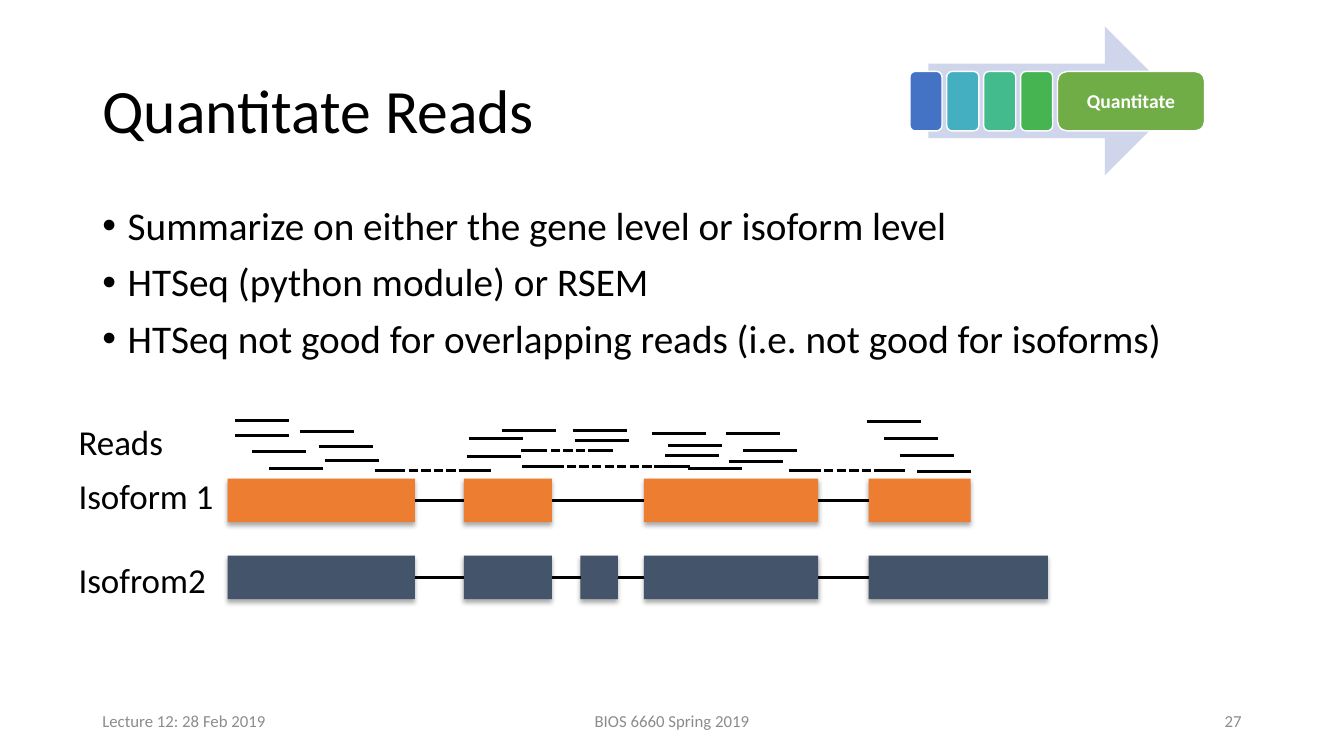
from dataclasses import dataclass
from itertools import pairwise
from typing import NamedTuple

from lxml import etree
from pptx import Presentation
from pptx.dml.color import RGBColor
from pptx.enum.dml import MSO_LINE
from pptx.enum.shapes import MSO_CONNECTOR, MSO_SHAPE
from pptx.enum.text import MSO_ANCHOR, PP_ALIGN
from pptx.oxml.ns import qn
from pptx.shapes.autoshape import Shape
from pptx.slide import Slide
from pptx.util import Cm, Pt

STRAIGHT = MSO_CONNECTOR.STRAIGHT
SYS_DASH = MSO_LINE.SQUARE_DOT
RECTANGLE = MSO_SHAPE.RECTANGLE
ROUNDED = MSO_SHAPE.ROUNDED_RECTANGLE
RIGHT_ARROW = MSO_SHAPE.RIGHT_ARROW
TOP, MIDDLE = MSO_ANCHOR.TOP, MSO_ANCHOR.MIDDLE
LEFT, CENTER, RIGHT = PP_ALIGN.LEFT, PP_ALIGN.CENTER, PP_ALIGN.RIGHT


@dataclass(frozen=True)
class Theme:
    font: str = "Calibri"
    ink: str = "000000"
    paper: str = "FFFFFF"
    muted: str = "8C8C8C"
    arrow: str = "CFD5EA"
    steps: tuple[str, ...] = ("4472C4", "43AFC0", "43BB8D", "45B451")
    current_step: str = "70AD47"
    isoform_1: str = "ED7D31"
    isoform_2: str = "44546A"
    title_size: float = 44
    body_size: float = 28
    label_size: float = 25
    step_size: float = 14
    footer_size: float = 12
    read_width: float = 2.25
    step_outline: float = 1


THEME = Theme()


class Box(NamedTuple):
    left: float
    top: float
    width: float
    height: float


class Caption(NamedTuple):
    text: str
    box: Box
    size: float
    color: str = THEME.ink
    align: PP_ALIGN = LEFT
    anchor: MSO_ANCHOR = MIDDLE
    wrap: bool = True
    line_spacing: float = 1.0


class Exon(NamedTuple):
    left: float
    width: float


class Isoform(NamedTuple):
    top: float
    color: str
    exons: list[Exon]


class Read(NamedTuple):
    left: float
    y: float


class SplicedRead(NamedTuple):
    left: float
    right: float
    y: float
    end_length: float
    gap_left: float
    gap_right: float


BODY = Box(2.33, 5.08, 29.21, 12.09)
BULLETS = [
    "Summarize on either the gene level or isoform level",
    "HTSeq (python module) or RSEM",
    "HTSeq not good for overlapping reads (i.e. not good for isoforms)",
]
CAPTIONS = [
    Caption("Quantitate Reads", Box(2.33, 1.02, 29.21, 3.68), THEME.title_size, line_spacing=0.9),
    Caption("Lecture 12: 28 Feb 2019", Box(2.33, 17.65, 7.62, 1.02), THEME.footer_size, THEME.muted),
    Caption("BIOS 6660 Spring 2019", Box(11.22, 17.65, 11.43, 1.02), THEME.footer_size, THEME.muted, CENTER),
    Caption("27", Box(23.92, 17.65, 7.62, 1.02), THEME.footer_size, THEME.muted, RIGHT),
    Caption("Reads", Box(1.73, 10.46, 2.67, 1.32), THEME.label_size, anchor=TOP, wrap=False),
    Caption("Isoform 1", Box(1.73, 11.82, 3.94, 1.32), THEME.label_size, anchor=TOP, wrap=False),
    Caption("Isofrom2", Box(1.73, 13.94, 3.94, 1.32), THEME.label_size, anchor=TOP, wrap=False),
]

STEP_BOX = Box(22.93, 1.8, 0.81, 1.5)
STEP_PITCH = 0.93
CURRENT_STEP_WIDTH = 3.71

EXON_HEIGHT = 1.1
FIRST, SECOND, FOURTH = Exon(5.74, 4.72), Exon(11.69, 2.22), Exon(16.23, 4.39)
THIRD = Exon(14.63, 0.94)
SHORT_LAST, LONG_LAST = Exon(21.89, 2.57), Exon(21.89, 4.52)
ISOFORMS = [
    Isoform(14.0, THEME.isoform_2, [FIRST, SECOND, THIRD, FOURTH, LONG_LAST]),
    Isoform(12.06, THEME.isoform_1, [FIRST, SECOND, FOURTH, SHORT_LAST]),
]

READ_LENGTH = 1.36
READS = [
    Read(5.92, 10.59), Read(5.92, 10.97), Read(6.35, 11.38), Read(6.78, 11.81),
    Read(7.57, 10.87), Read(8.05, 11.25), Read(8.18, 11.61),
    Read(11.76, 11.51), Read(11.81, 11.05), Read(12.65, 10.85),
    Read(14.43, 10.85), Read(14.48, 11.1),
    Read(16.43, 10.92), Read(16.84, 11.23), Read(16.76, 11.48), Read(17.35, 11.81),
    Read(18.29, 10.92), Read(18.72, 11.35), Read(18.36, 11.63),
    Read(21.84, 10.62), Read(22.28, 11.05), Read(22.68, 11.48), Read(23.11, 11.89),
]
SPLICED_READS = [
    SplicedRead(9.45, 12.37, 11.86, 0.64, 9.98, 11.94),
    SplicedRead(19.89, 22.81, 11.86, 0.64, 20.45, 22.4),
    SplicedRead(13.16, 17.4, 11.76, 0.93, 13.97, 16.79),
    SplicedRead(13.13, 15.44, 11.35, 0.51, 13.56, 15.11),
]


def style_text(shape: Shape, size: float, color: str, bold: bool = False) -> None:
    for paragraph in shape.text_frame.paragraphs:
        for run in paragraph.runs:
            run.font.name = THEME.font
            run.font.size = Pt(size)
            run.font.bold = bold
            run.font.color.rgb = RGBColor.from_string(color)


def add_caption(slide: Slide, caption: Caption) -> None:
    shape = slide.shapes.add_textbox(*map(Cm, caption.box))
    frame = shape.text_frame
    frame.text = caption.text
    frame.word_wrap = caption.wrap
    frame.vertical_anchor = caption.anchor
    frame.paragraphs[0].alignment = caption.align
    frame.paragraphs[0].line_spacing = caption.line_spacing
    style_text(shape, caption.size, caption.color)


def add_bullets(slide: Slide) -> None:
    shape = slide.shapes.add_textbox(*map(Cm, BODY))
    frame = shape.text_frame
    frame.word_wrap = True
    frame.text = "\n".join(BULLETS)
    for index, paragraph in enumerate(frame.paragraphs):
        properties = paragraph._p.get_or_add_pPr()
        properties.set("marL", str(Cm(0.64)))
        properties.set("indent", str(Cm(-0.64)))
        etree.SubElement(properties, qn("a:buFont"), typeface="Arial")
        etree.SubElement(properties, qn("a:buChar"), char="•")
        paragraph.line_spacing = 0.9
        paragraph.space_before = Pt(10 if index else 0)
    style_text(shape, THEME.body_size, THEME.ink)


def add_block(slide: Slide, kind: MSO_SHAPE, box: Box, color: str) -> Shape:
    shape = slide.shapes.add_shape(kind, *map(Cm, box))
    shape.shadow.inherit = False
    shape.fill.solid()
    shape.fill.fore_color.rgb = RGBColor.from_string(color)
    shape.line.fill.background()
    return shape


def add_line(slide: Slide, left: float, right: float, y: float, dashed: bool = False) -> None:
    line = slide.shapes.add_connector(STRAIGHT, Cm(left), Cm(y), Cm(right), Cm(y))
    line.line.color.rgb = RGBColor.from_string(THEME.ink)
    line.line.width = Pt(THEME.read_width)
    if dashed:
        line.line.dash_style = SYS_DASH
    etree.SubElement(line._element.spPr, qn("a:effectLst"))


def add_workflow(slide: Slide) -> None:
    add_block(slide, RIGHT_ARROW, Box(23.4, 0.67, 6.32, 3.75), THEME.arrow)
    for index, color in enumerate((*THEME.steps, THEME.current_step)):
        box = STEP_BOX._replace(left=STEP_BOX.left + index * STEP_PITCH)
        is_current = index == len(THEME.steps)
        if is_current:
            box = box._replace(width=CURRENT_STEP_WIDTH)
        step = add_block(slide, ROUNDED, box, color)
        step.line.color.rgb = RGBColor.from_string(THEME.paper)
        step.line.width = Pt(THEME.step_outline)
        if is_current:
            step.text_frame.text = "Quantitate"
            step.text_frame.vertical_anchor = MIDDLE
            step.text_frame.paragraphs[0].alignment = CENTER
            style_text(step, THEME.step_size, THEME.paper, bold=True)


def add_isoform(slide: Slide, isoform: Isoform) -> None:
    for exon in isoform.exons:
        box = Box(exon.left, isoform.top, exon.width, EXON_HEIGHT)
        block = add_block(slide, RECTANGLE, box, isoform.color)
        effects = block._element.spPr.find(qn("a:effectLst"))
        shadow = etree.SubElement(effects, qn("a:outerShdw"), blurRad=str(Pt(3.5)),
                                  dist=str(Pt(2.2)), dir="5400000", rotWithShape="0")
        tint = etree.SubElement(shadow, qn("a:srgbClr"), val=THEME.ink)
        etree.SubElement(tint, qn("a:alpha"), val="32000")
    for before, after in pairwise(isoform.exons):
        add_line(slide, before.left + before.width, after.left, isoform.top + EXON_HEIGHT / 2)


def add_spliced_read(slide: Slide, read: SplicedRead) -> None:
    add_line(slide, read.left, read.left + read.end_length, read.y)
    add_line(slide, read.right - read.end_length, read.right, read.y)
    add_line(slide, read.gap_left, read.gap_right, read.y, dashed=True)


def main() -> None:
    deck = Presentation()
    deck.slide_width, deck.slide_height = Cm(33.87), Cm(19.05)
    slide = deck.slides.add_slide(deck.slide_layouts[6])
    add_bullets(slide)
    add_workflow(slide)
    for isoform in ISOFORMS:
        add_isoform(slide, isoform)
    for read in READS:
        add_line(slide, read.left, read.left + READ_LENGTH, read.y)
    for spliced_read in SPLICED_READS:
        add_spliced_read(slide, spliced_read)
    for caption in CAPTIONS:
        add_caption(slide, caption)
    deck.save("out.pptx")


if __name__ == "__main__":
    main()
